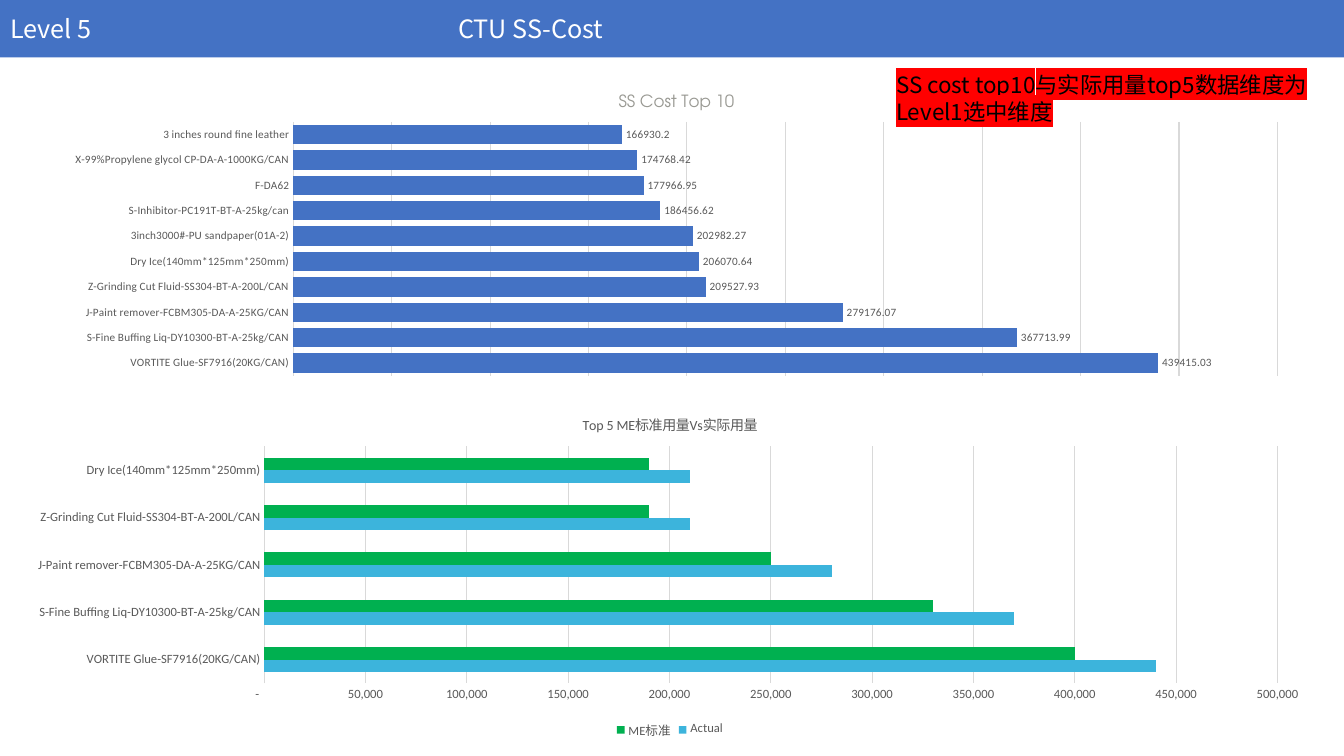
from lxml import etree
from pptx import Presentation
from pptx.chart.data import CategoryChartData
from pptx.dml.color import RGBColor
from pptx.enum.chart import XL_CHART_TYPE, XL_LABEL_POSITION, XL_LEGEND_POSITION, XL_TICK_MARK
from pptx.enum.text import MSO_ANCHOR, MSO_AUTO_SIZE, PP_ALIGN
from pptx.oxml import parse_xml
from pptx.oxml.ns import nsdecls, qn
from pptx.util import Inches, Pt

BAR = XL_CHART_TYPE.BAR_CLUSTERED
OUTSIDE = XL_LABEL_POSITION.OUTSIDE_END
BOTTOM = XL_LEGEND_POSITION.BOTTOM
NO_TICK = XL_TICK_MARK.NONE
MIDDLE = MSO_ANCHOR.MIDDLE
LEFT = PP_ALIGN.LEFT
NO_FIT = MSO_AUTO_SIZE.NONE
C = {"blue": "4472C4", "cyan": "3CB4DC", "green": "00B050", "red": "FF0000",
     "grid": "D9D9D9", "label": "595959", "heading": "999993",
     "white": "FFFFFF", "black": "000000"}
SANS, CJK, ROUND = "Calibri", "Noto Sans CJK SC", "TeX Gyre Adventor"
NUMBER = r'_ * #,##0_ ;_ * \-#,##0_ ;_ * "-"??_ ;_ '

MATERIALS = [
    ("VORTITE Glue-SF7916(20KG/CAN)", 439415.03),
    ("S-Fine Buffing Liq-DY10300-BT-A-25kg/CAN", 367713.99),
    ("J-Paint remover-FCBM305-DA-A-25KG/CAN", 279176.07),
    ("Z-Grinding Cut Fluid-SS304-BT-A-200L/CAN", 209527.93),
    ("Dry Ice(140mm*125mm*250mm)", 206070.64),
    ("3inch3000#-PU sandpaper(01A-2)", 202982.27),
    ("S-Inhibitor-PC191T-BT-A-25kg/can", 186456.62),
    ("F-DA62", 177966.95),
    ("X-99%Propylene glycol CP-DA-A-1000KG/CAN", 174768.42),
    ("3 inches round fine leather", 166930.2),
]
NAMES = [name for name, _ in MATERIALS]
COSTS = [cost for _, cost in MATERIALS]
ACTUAL = [440000, 370000, 280000, 210000, 210000]
STANDARD = [400000, 330000, 250000, 190000, 190000]


def rgb(name):
    """Return the named palette colour."""
    return RGBColor.from_string(C[name])


def set_font(font, size, color, name=SANS):
    """Apply size, colour and typeface to a font."""
    font.size, font.name, font.bold = Pt(size), name, False
    font.color.rgb = rgb(color)


def set_line(line, color):
    """Draw a thin line in the given colour."""
    line.color.rgb = rgb(color)
    line.width = Pt(0.75)


def place_plot(chart, box, left, top, w, h):
    """Fix the inner plot area, given in inches from the chart's corner."""
    plot = chart.plots[0]._element.getparent()
    for old in plot.findall(qn("c:layout")):
        plot.remove(old)
    tags = [("layoutTarget", "inner"), ("xMode", "edge"), ("yMode", "edge"),
            ("x", left / box[2]), ("y", top / box[3]),
            ("w", w / box[2]), ("h", h / box[3])]
    parts = "".join(f'<c:{tag} val="{val}"/>' for tag, val in tags)
    plot.insert(0, parse_xml(f'<c:layout {nsdecls("c")}><c:manualLayout>{parts}'
                             '</c:manualLayout></c:layout>'))


def add_header(s, box, level, topic):
    """Fill the title placeholder as a banner holding level and topic."""
    sp = s.shapes.title
    sp.left, sp.top, sp.width, sp.height = map(Inches, box)
    sp.fill.solid()
    sp.fill.fore_color.rgb = rgb("blue")
    tf = sp.text_frame
    tf.auto_size, tf.vertical_anchor = NO_FIT, MIDDLE
    p = tf.paragraphs[0]
    p.add_run().text = f"{level}\t{topic}"
    p.alignment = LEFT
    set_font(p.font, 18, "white", CJK)
    tabs = etree.Element(qn("a:tabLst"))
    etree.SubElement(tabs, qn("a:tab"), pos=str(Inches(box[2] / 3)), algn="l")
    p._p.pPr.insert(0, tabs)


def add_note(s, box, text):
    """Add a highlighted remark."""
    tf = s.shapes.add_textbox(*map(Inches, box)).text_frame
    tf.word_wrap = True
    p = tf.paragraphs[0]
    set_font(p.font, 16, "black", CJK)
    r = p.add_run()
    r.text = text
    mark = etree.SubElement(r._r.get_or_add_rPr(), qn("a:highlight"))
    etree.SubElement(mark, qn("a:srgbClr"), val=C["red"])


def add_bars(s, box, title, names, series, gap, size):
    """Add a titled bar chart and return it for further formatting."""
    data = CategoryChartData()
    data.categories = names
    for name, values, _ in series:
        data.add_series(name, values)
    chart = s.shapes.add_chart(BAR, *map(Inches, box), data).chart
    set_font(chart.font, 10, "black")
    chart.has_legend = False
    text, title_size, color, face = title
    p = chart.chart_title.text_frame.paragraphs[0]
    p.add_run().text = text
    set_font(p.font, title_size, color, face)
    plot = chart.plots[0]
    plot.gap_width, plot.overlap, plot.vary_by_categories = gap, 0, False
    for ser, (_, _, fill) in zip(plot.series, series):
        ser.format.fill.solid()
        ser.format.fill.fore_color.rgb = rgb(fill)
    for axis in (chart.category_axis, chart.value_axis):
        axis.major_tick_mark = axis.minor_tick_mark = NO_TICK
        set_font(axis.tick_labels.font, size, "label")
    set_line(chart.category_axis.format.line, "grid")
    axis = chart.value_axis
    axis.minimum_scale, axis.maximum_scale, axis.major_unit = 0, 500000, 50000
    axis.format.line.fill.background()
    set_line(axis.major_gridlines.format.line, "grid")
    return chart


def add_cost_chart(s, box):
    """Add the ranking of the ten highest costs with value labels."""
    chart = add_bars(s, box, ("SS Cost Top 10", 12, "heading", ROUND),
                     NAMES, [("Series 1", COSTS, "blue")], 31, 8)
    chart.value_axis.visible = False
    plot = chart.plots[0]
    plot.has_data_labels = True
    labels = plot.data_labels
    labels.show_value, labels.position = True, OUTSIDE
    set_font(labels.font, 8, "label")
    place_plot(chart, box, 2.41, 0.43, 9.76, 2.52)


def add_usage_chart(s, box):
    """Add the comparison of standard and actual usage."""
    series = [("Actual", ACTUAL, "cyan"), ("ME标准", STANDARD, "green")]
    chart = add_bars(s, box, ("Top 5 ME标准用量Vs实际用量", 10, "label", SANS),
                     NAMES[:5], series, 182, 9)
    labels = chart.value_axis.tick_labels
    labels.number_format, labels.number_format_is_linked = NUMBER, False
    chart.has_legend = True
    legend = chart.legend
    legend.position, legend.include_in_layout = BOTTOM, False
    set_font(legend.font, 9, "label")
    place_plot(chart, box, 2.5, 0.48, 10.05, 2.35)


def main():
    """Build and save the slide."""
    prs = Presentation()
    prs.slide_width, prs.slide_height = Inches(13.33), Inches(7.5)
    s = prs.slides.add_slide(prs.slide_layouts[5])
    add_header(s, (0, 0, 13.33, 0.57), "Level 5", "CTU SS-Cost")
    add_cost_chart(s, (0.5, 0.78, 12.42, 3.01))
    add_usage_chart(s, (0.12, 3.95, 13.05, 3.42))
    add_note(s, (8.79, 0.66, 4.3, 0.64),
             "SS cost top10与实际用量top5数据维度为Level1选中维度")
    prs.save("out.pptx")


if __name__ == "__main__":
    main()
